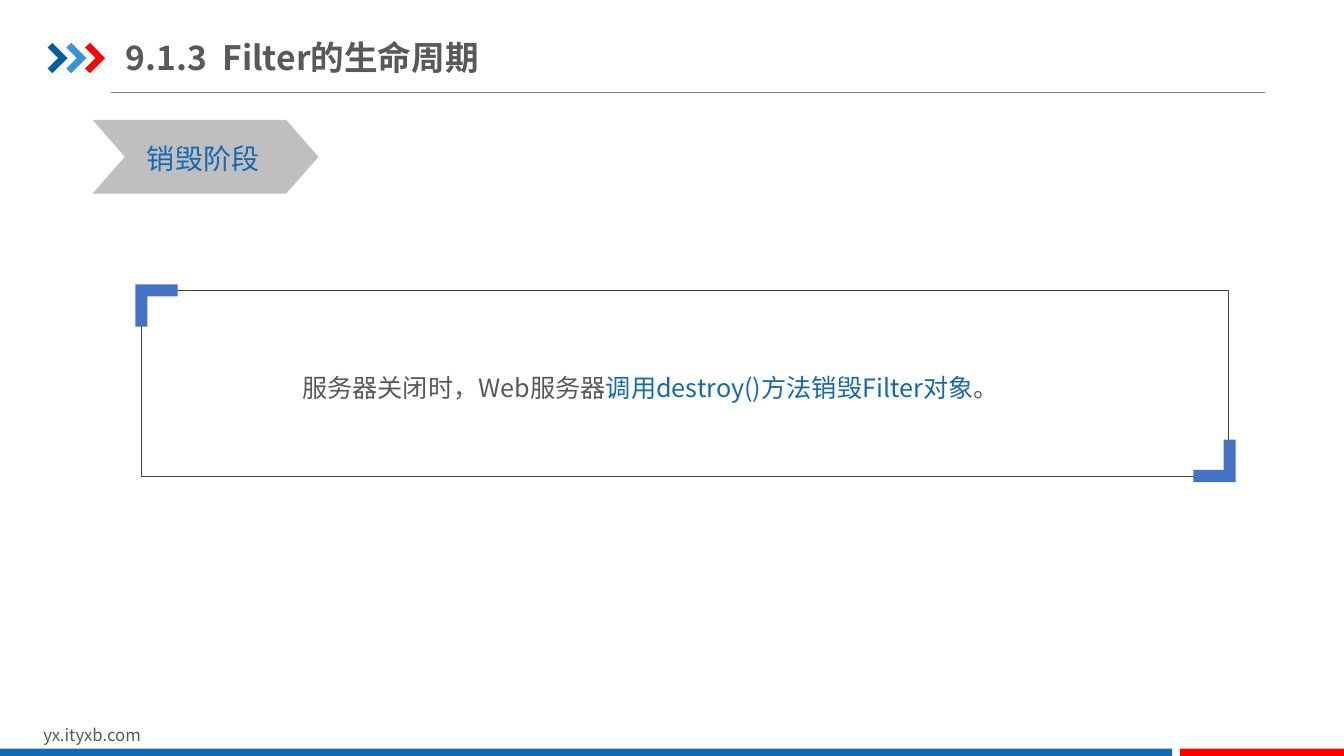
from lxml.etree import SubElement
from pptx import Presentation
from pptx.dml.color import RGBColor
from pptx.enum.shapes import MSO_CONNECTOR, MSO_SHAPE
from pptx.enum.text import MSO_ANCHOR, MSO_AUTO_SIZE
from pptx.oxml.ns import qn
from pptx.util import Pt

COLORS = {
    "text": "595959",
    "blue": "1369B2",
    "red": "FF0000",
    "navy": "005DA2",
    "sky": "3992DB",
    "corner": "4472C4",
    "banner": "BFBFBF",
    "frame": "404040",
    "rule": "808080",
}
FONT = "Noto Sans CJK SC"

deck = Presentation()
deck.slide_width = Pt(960)
deck.slide_height = Pt(540)
page = deck.slides.add_slide(deck.slide_layouts[6])
shapes = page.shapes


def paint(shape, color):
    shape.shadow.inherit = False
    shape.fill.solid()
    shape.fill.fore_color.rgb = RGBColor.from_string(COLORS[color])
    shape.line.fill.background()


def add_text(left, top, width, height, size, runs, bold=False):
    box = shapes.add_textbox(Pt(left), Pt(top), Pt(width), Pt(height))
    box.text_frame.word_wrap = True
    para = box.text_frame.paragraphs[0]
    for text, color in runs:
        span = para.add_run()
        span.text = text
        span.font.size = Pt(size)
        span.font.bold = bold
        span.font.color.rgb = RGBColor.from_string(COLORS[color])
        span.font.name = FONT
        SubElement(span._r.get_or_add_rPr(), qn("a:ea"), typeface=FONT)
    return box.text_frame


rule = shapes.add_connector(MSO_CONNECTOR.STRAIGHT, Pt(79.2), Pt(66), Pt(903.6), Pt(66))
rule.line.color.rgb = RGBColor.from_string(COLORS["rule"])
rule.line.width = Pt(0.5)
SubElement(rule._element.spPr, qn("a:effectLst"))

arrow_outline = [(0, 3.3), (3.5, 0), (14.3, 10.8), (3.5, 21.6), (0, 18.3), (7.6, 10.8)]
corner_outline = [(0, 0), (30.2, 0), (30.2, 8.6), (8.6, 8.6), (8.6, 30.2), (0, 30.2)]
outlines = [
    (arrow_outline, 34 + 13.4 * index, 30.7, 1, color)
    for index, color in enumerate(["navy", "sky", "red"])
]

for left, width, color in [(0, 837.3, "blue"), (843, 117, "red")]:
    bar = shapes.add_shape(MSO_SHAPE.RECTANGLE, Pt(left), Pt(534.8), Pt(width), Pt(6))
    paint(bar, color)

banner = shapes.add_shape(MSO_SHAPE.CHEVRON, Pt(66.2), Pt(85.7), Pt(161.3), Pt(52.6))
banner.adjustments[0] = 0.438
paint(banner, "banner")

frame = shapes.add_shape(MSO_SHAPE.RECTANGLE, Pt(101), Pt(207.4), Pt(776.7), Pt(132.8))
frame.shadow.inherit = False
frame.fill.background()
frame.line.color.rgb = RGBColor.from_string(COLORS["frame"])
frame.line.width = Pt(0.25)

outlines += [
    (corner_outline, 96.7, 203.2, 1, "corner"),
    (corner_outline, 882.7, 344.3, -1, "corner"),
]
for outline, left, top, direction, color in outlines:
    points = [(Pt(left + direction * x), Pt(top + direction * y)) for x, y in outline]
    builder = shapes.build_freeform(*points[0])
    builder.add_line_segments(points[1:], close=True)
    paint(builder.convert_to_shape(), color)

title = add_text(90, 20.9, 275, 39.6, 24, [("9.1.3  Filter的生命周期", "text")], bold=True)
title.vertical_anchor = MSO_ANCHOR.MIDDLE
title.margin_left = title.margin_right = 0

stage = add_text(97.9, 97.2, 95, 31.7, 20, [("销毁阶段", "blue")])
stage.word_wrap = False
stage.auto_size = MSO_AUTO_SIZE.SHAPE_TO_FIT_TEXT

message = add_text(208.8, 251.3, 542.2, 50.4, 18, [
    ("服务器关闭时，Web服务器", "text"),
    ("调用destroy()方法销毁Filter对象", "blue"),
    ("。", "text"),
])
message.paragraphs[0].line_spacing = 1.5

add_text(23.8, 514.1, 229, 21.6, 12, [("yx.ityxb.com", "text")])

deck.save("out.pptx")
